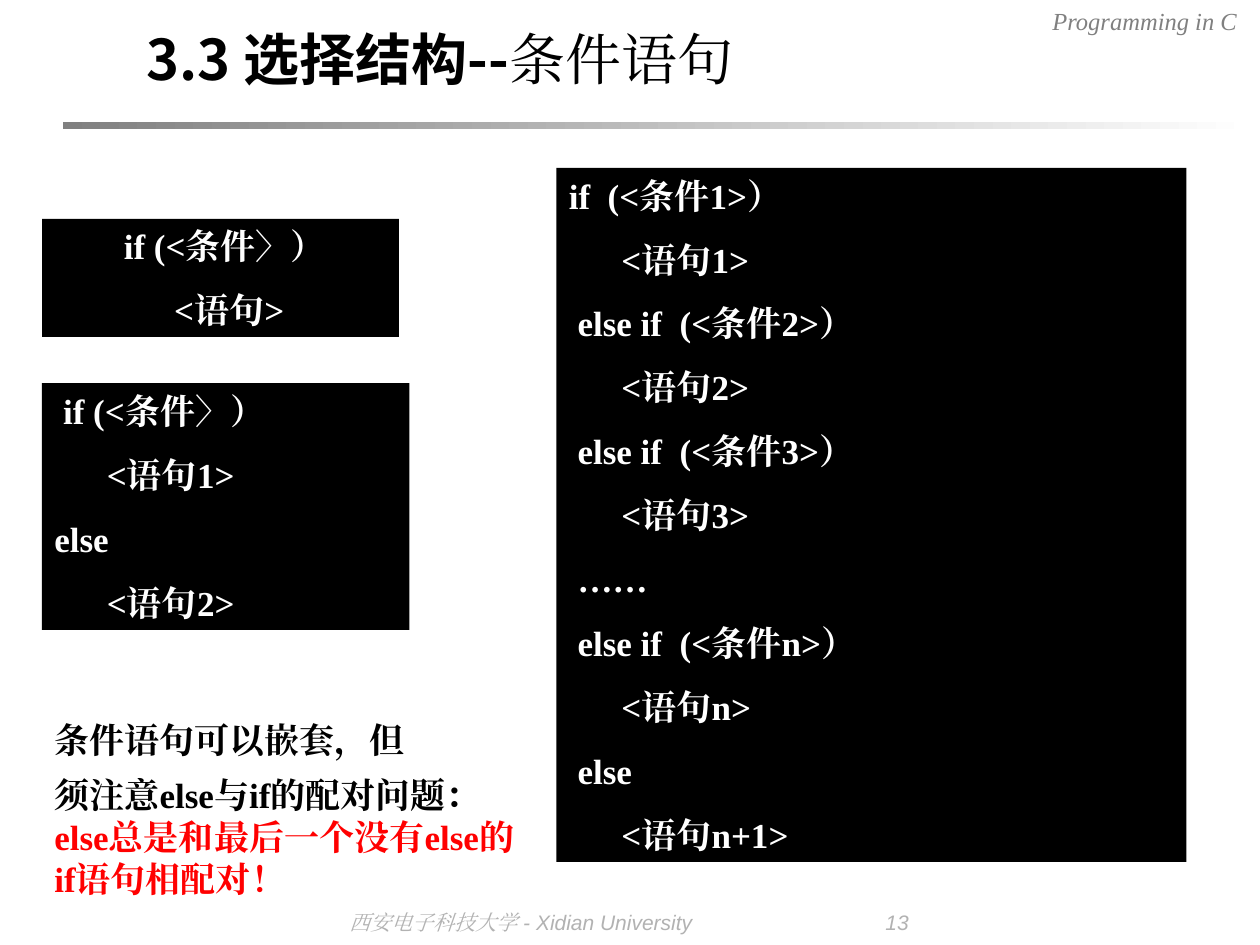
from lxml import etree
from pptx import Presentation
from pptx.dml.color import RGBColor
from pptx.enum import shapes, text
from pptx.oxml.ns import qn
from pptx.util import Pt

COLORS = {"black": "000000", "white": "FFFFFF", "gray": "808080",
          "light": "B2B2B2", "red": "FF0000"}
SERIF, SANS, CJK = "Times New Roman", "Arial", "Noto Sans CJK SC"
LEFT, RIGHT = text.PP_ALIGN.LEFT, text.PP_ALIGN.RIGHT
CENTER = text.PP_ALIGN.CENTER


def rgb(name):
    return RGBColor.from_string(COLORS[name])


class Deck:
    """Holds the style and the current slide; lengths are in points."""
    body_size, line_height = 20, 24

    def __init__(self, prs):
        self.slide = prs.slides.add_slide(prs.slide_layouts[5])

    def style(self, r, size, color, font=SERIF, bold=False, italic=False):
        f = r.font
        f.size, f.bold, f.italic, f.name = Pt(size), bold, italic, font
        f.color.rgb = rgb(color)
        etree.SubElement(r._r.get_or_add_rPr(), qn("a:ea"), typeface=font)

    def run(self, p, words, *args, **kwargs):
        r = p.add_run()
        r.text = words
        self.style(r, *args, **kwargs)

    def frame(self, sp):
        tf = sp.text_frame
        tf.word_wrap = True
        tf.auto_size = text.MSO_AUTO_SIZE.NONE
        tf.vertical_anchor = text.MSO_ANCHOR.TOP
        tf.margin_left = tf.margin_right = Pt(7.2)
        tf.margin_top = tf.margin_bottom = Pt(3.6)
        return tf

    def title(self, x, y, w, h):
        sp = self.slide.shapes.title
        sp.left, sp.top, sp.width, sp.height = Pt(x), Pt(y), Pt(w), Pt(h)
        p = self.frame(sp).paragraphs[0]
        p.alignment, p.line_spacing = LEFT, 0.9
        return p

    def textbox(self, x, y, w, h):
        return self.frame(self.slide.shapes.add_textbox(Pt(x), Pt(y), Pt(w), Pt(h)))

    def rect(self, x, y, w, h):
        sp = self.slide.shapes.add_shape(
            shapes.MSO_SHAPE.RECTANGLE, Pt(x), Pt(y), Pt(w), Pt(h))
        sp.shadow.inherit = False
        sp.line.fill.background()
        return sp

    def rule(self, x, y, w, h):
        fill = self.rect(x, y, w, h).fill
        fill.gradient()
        fill.gradient_angle = 0
        for stop, color in zip(fill.gradient_stops, ("gray", "white")):
            stop.color.rgb = rgb(color)

    def paragraphs(self, tf, lines, color, gap, align=LEFT):
        for i, line in enumerate(lines):
            p = tf.add_paragraph() if i else tf.paragraphs[0]
            p.text = line
            p.alignment, p.line_spacing = align, Pt(self.line_height)
            p.space_before = Pt(gap if i else 0)
            self.style(p.runs[0], self.body_size, color, bold=True)

    def code(self, x, y, w, h, lines, align=LEFT):
        sp = self.rect(x, y, w, h)
        sp.fill.solid()
        sp.fill.fore_color.rgb = rgb("black")
        self.paragraphs(self.frame(sp), lines, "white", 12.5, align)


def main():
    prs = Presentation()
    prs.slide_width, prs.slide_height = Pt(720), Pt(540)
    deck = Deck(prs)

    # Course name, top right
    p = deck.textbox(492, 0, 222, 24.5).paragraphs[0]
    p.alignment = RIGHT
    deck.run(p, "Programming in C", 14, "gray", italic=True)

    # Footer: university and page number on a tab stop
    tf = deck.textbox(0, 516, 720, 24)
    tf.margin_left = Pt(200)
    p = tf.paragraphs[0]
    tabs = etree.SubElement(p._p.get_or_add_pPr(), qn("a:tabLst"))
    etree.SubElement(tabs, qn("a:tab"), pos=str(Pt(306)), algn="l")
    deck.run(p, "西安电子科技大学 ", 12, "light", italic=True)
    deck.run(p, "- Xidian University\t13", 12, "light", SANS, italic=True)

    # Title and rule
    deck.rule(36, 70, 680, 3.5)
    p = deck.title(76.5, 15, 612, 60)
    deck.run(p, "3.3 选择结构--", 32, "black", CJK, bold=True)
    deck.run(p, "条件语句", 32, "black")

    # Forms of the if statement
    deck.code(24, 125, 204, 67.5, [" if (<条件〉）", "   <语句> "], CENTER)
    deck.code(24, 219, 210, 141,
              [" if (<条件〉）", "      <语句1>", "else", "      <语句2>"])
    chain = ["if  (<条件1>）", "      <语句1>"]
    for n in "23n":
        if n == "n":
            chain.append(" ……")
        chain += [f" else if  (<条件{n}>）", f"      <语句{n}>"]
    chain += [" else", "      <语句n+1>"]
    deck.code(318, 96, 360, 396.5, chain)

    # Note on pairing else with if
    tf = deck.textbox(24, 407, 285, 111)
    deck.paragraphs(tf, ["条件语句可以嵌套，但", "须注意else与if的配对问题："], "black", 7.5)
    deck.run(tf.paragraphs[1], "else总是和最后一个没有else的if语句相配对！",
             deck.body_size, "red", bold=True)

    prs.save("out.pptx")


if __name__ == "__main__":
    main()
